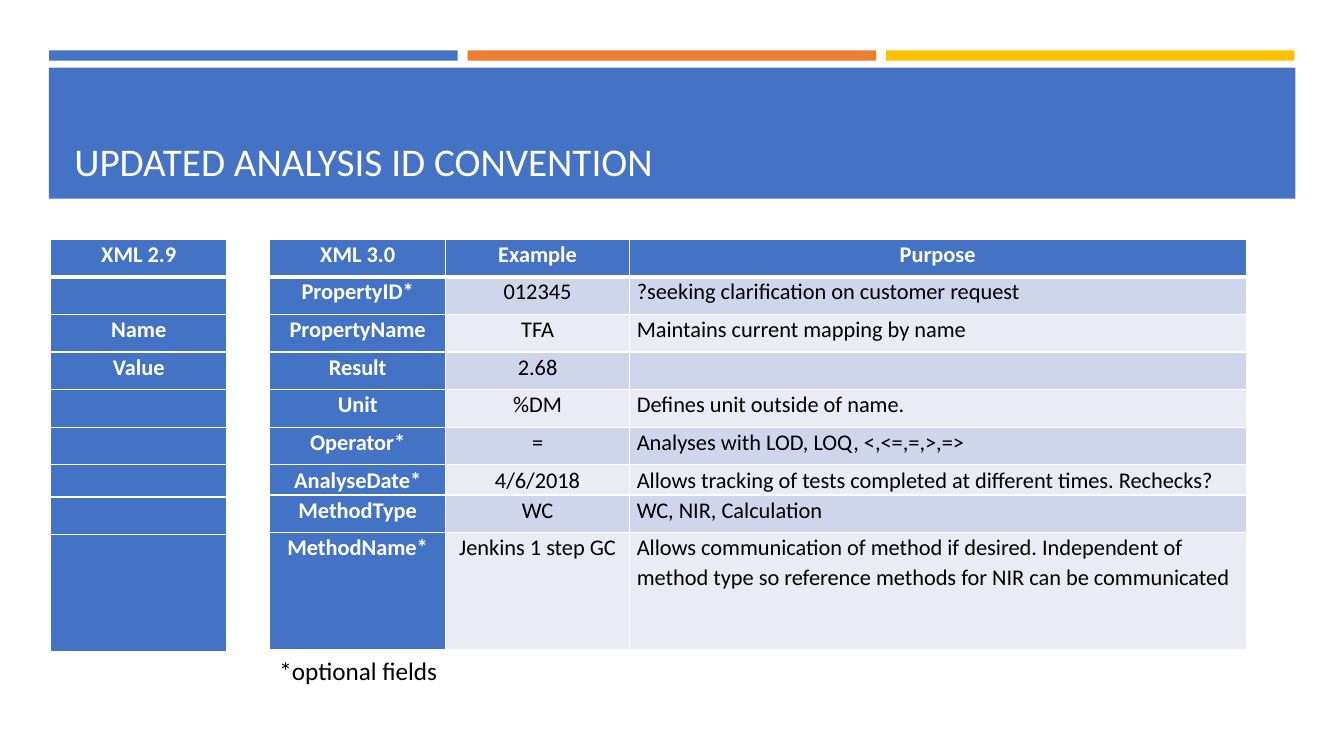
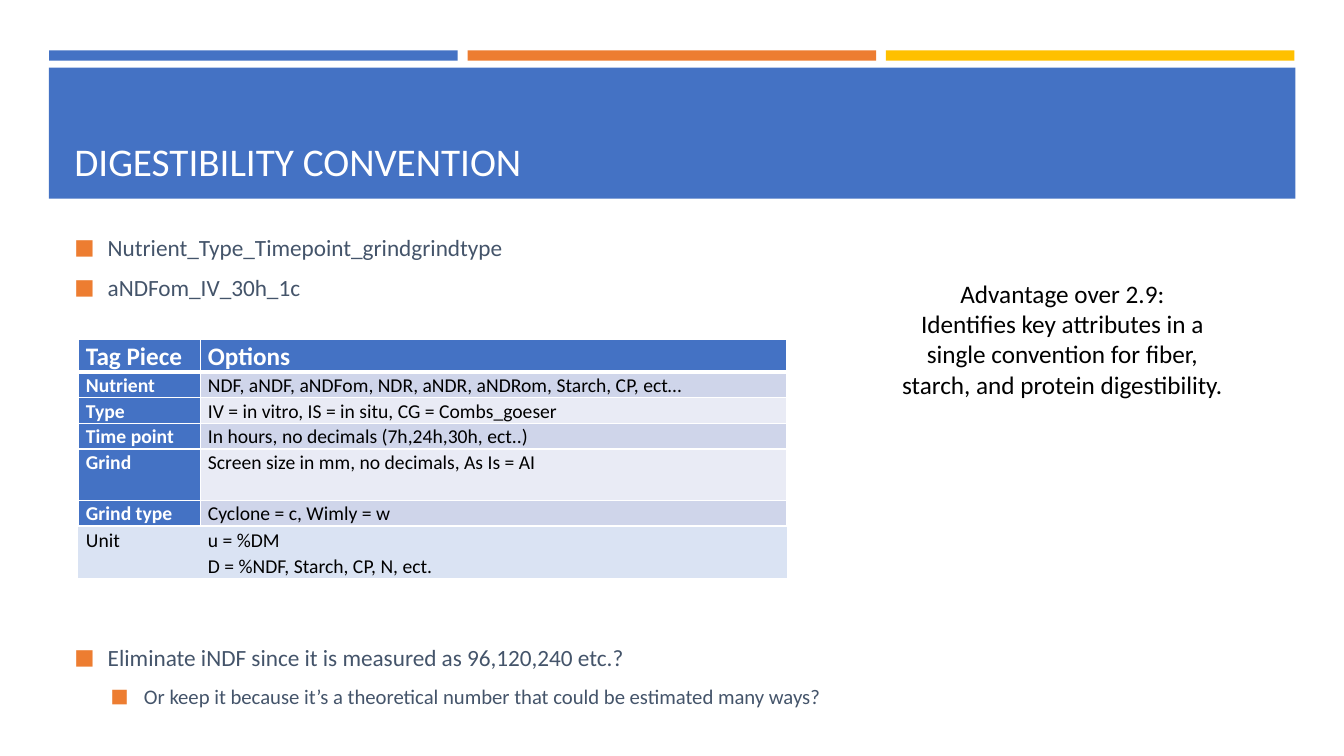
import pptx
import pptx.util
import pptx.dml.color
import pptx.enum.shapes
import pptx.enum.text
import pptx.oxml
import pptx.oxml.ns

Pt = pptx.util.Pt
RGB = pptx.dml.color.RGBColor
ALIGN = pptx.enum.text.PP_ALIGN
ANCHOR = pptx.enum.text.MSO_ANCHOR

# Colours and font
BLUE = RGB(0x44, 0x72, 0xC4)
ORANGE = RGB(0xED, 0x7D, 0x31)
GOLD = RGB(0xFF, 0xC0, 0x00)
SLATE = RGB(0x44, 0x54, 0x6A)
WHITE = RGB(0xFF, 0xFF, 0xFF)
BLACK = RGB(0x00, 0x00, 0x00)
BAND_DARK = RGB(0xCF, 0xD5, 0xEA)
BAND_LIGHT = RGB(0xE9, 0xEB, 0xF5)
PALE_BLUE = RGB(0xDA, 0xE3, 0xF3)
FONT = "Calibri"
PLAIN_TABLE = "{2D5ABB26-0587-4C30-8999-92F81FD0307C}"
NAMESPACE = pptx.oxml.ns.nsdecls("a")


def apply(target, **values):
    for name, value in values.items():
        setattr(target, name, value)


class Deck:
    def __init__(self):
        self.deck = pptx.Presentation()
        apply(self.deck, slide_width=Pt(960), slide_height=Pt(540))
        self.page = None

    def add_page(self, title):
        self.page = self.deck.slides.add_slide(self.deck.slide_layouts[6])
        for index, color in enumerate((BLUE, ORANGE, GOLD)):
            self.band(35.2 + index * 298.8, 36, 291.8, 7.4, color)
        self.band(34.9, 48.4, 890.4, 93.6, BLUE)
        self.text(46.1, 55.4, 868.3, 79.9, [title], 28, WHITE,
                  anchor=ANCHOR.BOTTOM)

    def band(self, left, top, width, height, color):
        bar = self.page.shapes.add_shape(
            pptx.enum.shapes.MSO_SHAPE.RECTANGLE,
            Pt(left), Pt(top), Pt(width), Pt(height))
        bar.shadow.inherit = False
        bar.fill.solid()
        bar.fill.fore_color.rgb = color
        bar.line.fill.background()

    def fill_text(self, frame, lines, size, color, bold=False, **layout):
        """Fill a text frame with one paragraph per line."""
        for index, line in enumerate(lines):
            para = frame.add_paragraph() if index else frame.paragraphs[0]
            apply(para, **layout)
            span = para.add_run()
            span.text = line
            apply(span.font, name=FONT, size=Pt(size), bold=bold)
            span.font.color.rgb = color

    def text(self, left, top, width, height, lines, size, color,
             anchor=ANCHOR.TOP, align=ALIGN.LEFT):
        box = self.page.shapes.add_textbox(
            Pt(left), Pt(top), Pt(width), Pt(height))
        apply(box.text_frame, word_wrap=True, vertical_anchor=anchor)
        self.fill_text(box.text_frame, lines, size, color, alignment=align)
        return box.text_frame

    def bullets(self, top, height, items):
        """Each item is a pair of level and wording."""
        frame = self.text(46.1, top, 868.3, height,
                          [wording for level, wording in items], 16.6, SLATE)
        apply(frame, margin_top=0, margin_bottom=0)
        for para, (level, wording) in zip(frame.paragraphs, items):
            apply(para, level=level, space_after=Pt(9))
            para.runs[0].font.size = Pt((16.6, 14.8)[level])
            properties = para._p.get_or_add_pPr()
            properties.set("marL", str(Pt((23.8, 49.7)[level])))
            properties.set("indent", str(-Pt(23.8)))
            for part in (f'<a:buClr {NAMESPACE}><a:srgbClr val="{ORANGE}"/></a:buClr>',
                         f'<a:buSzPct {NAMESPACE} val="92000"/>',
                         f'<a:buFont {NAMESPACE} typeface="{FONT}"/>',
                         f'<a:buChar {NAMESPACE} char="■"/>'):
                properties.append(pptx.oxml.parse_xml(part))

    def grid(self, left, top, widths, heights):
        frame = self.page.shapes.add_table(
            len(heights), len(widths), Pt(left), Pt(top),
            Pt(sum(widths)), Pt(sum(heights)))
        table = frame.table
        apply(table, first_row=False, horz_banding=False)
        table._tbl.tblPr.find(pptx.oxml.ns.qn("a:tableStyleId")).text = PLAIN_TABLE
        for column, width in zip(table.columns, widths):
            column.width = Pt(width)
        for row, height in zip(table.rows, heights):
            row.height = Pt(height)
        return table

    def cell(self, cell, wording, fill, size, color, bold, align):
        apply(cell, margin_left=Pt(5.4), margin_right=Pt(5.4),
              margin_top=0, margin_bottom=0)
        cell.fill.solid()
        cell.fill.fore_color.rgb = fill
        if wording:
            self.fill_text(cell.text_frame, wording.split("\n"), size, color,
                           bold, alignment=align, line_spacing=1.07)

    def borders(self, cell, top, bottom):
        sides = {"lnL": 1, "lnR": 1, "lnT": top, "lnB": bottom}
        for index, (side, width) in enumerate(sides.items()):
            cell._tc.get_or_add_tcPr().insert(index, pptx.oxml.parse_xml(
                f'<a:{side} {NAMESPACE} w="{Pt(width)}"><a:solidFill>'
                f'<a:srgbClr val="{WHITE}"/></a:solidFill></a:{side}>'))

    def banded_table(self, left, top, widths, heights, rows, sizes, aligns):
        """Blue header row and first column; the rest in two tints."""
        table = self.grid(left, top, widths, heights)
        for r, row in enumerate(rows):
            for c, wording in enumerate(row):
                strong = r == 0 or c == 0
                tint = BAND_DARK if r % 2 else BAND_LIGHT
                cell = table.cell(r, c)
                self.cell(cell, wording, BLUE if strong else tint,
                          sizes[min(r, 1)], WHITE if strong else BLACK,
                          strong, aligns[0] if r == 0 else aligns[c])
                self.borders(cell, 3 if r == 1 else 1, 3 if r == 0 else 1)


show = Deck()

# Slide 1: old and new analysis fields
show.add_page("UPDATED ANALYSIS ID CONVENTION")
old_fields = ["XML 2.9", "", "Name", "Value", "", "", "", "", ""]
new_fields = [
    ("XML 3.0", "Example", "Purpose"),
    ("PropertyID*", "012345", "?seeking clarification on customer request"),
    ("PropertyName", "TFA", "Maintains current mapping by name"),
    ("Result", "2.68", ""),
    ("Unit", "%DM", "Defines unit outside of name."),
    ("Operator*", "=", "Analyses with LOD, LOQ, <,<=,=,>,=>"),
    ("AnalyseDate*", "4/6/2018",
     "Allows tracking of tests completed at different times. Rechecks?"),
    ("MethodType", "WC", "WC, NIR, Calculation"),
    ("MethodName*", "Jenkins 1 step GC",
     "Allows communication of method if desired. Independent of method type "
     "so reference methods for NIR can be communicated"),
]
show.banded_table(36.2, 170.8, [125.8], [26.9] * 6 + [23, 26.9, 83.5],
                  [(field,) for field in old_fields], (16, 16), [ALIGN.CENTER])
show.banded_table(192.5, 170.8, [126, 131, 440.6],
                  [26.9] * 6 + [21.6, 26.9, 83.5], new_fields, (16, 16),
                  [ALIGN.CENTER, ALIGN.CENTER, ALIGN.LEFT])
show.text(192.5, 464.4, 731.5, 29.1, ["*optional fields"], 18, BLACK)

# Slide 2: parts of a digestibility tag
show.add_page("DIGESTIBILITY CONVENTION")
show.bullets(166.4, 60, [(0, "Nutrient_Type_Timepoint_grindgrindtype"),
                         (0, "aNDFom_IV_30h_1c")])
tag_pieces = [
    ("Tag Piece", "Options"),
    ("Nutrient", "NDF, aNDF, aNDFom, NDR, aNDR, aNDRom, Starch, CP, ect…"),
    ("Type", "IV = in vitro, IS = in situ, CG = Combs_goeser"),
    ("Time point", "In hours, no decimals (7h,24h,30h, ect..)"),
    ("Grind", "Screen size in mm, no decimals, As Is = AI"),
    ("Grind type", "Cyclone = c, Wimly = w"),
]
tag_widths = [87.1, 419]
show.banded_table(56, 242.4, tag_widths, [23.5] + [18.3] * 3 + [36.6, 18.3],
                  tag_pieces, (18, 14), [ALIGN.LEFT, ALIGN.LEFT])
unit_table = show.grid(56, 376.6, tag_widths, [36.6])
for position, wording in enumerate(
        ("Unit", "u = %DM\nD = %NDF, Starch, CP, N, ect.")):
    show.cell(unit_table.cell(0, position), wording, PALE_BLUE, 14, BLACK,
              False, ALIGN.LEFT)
show.text(636.5, 195.1, 244.8, 94.3, [
    "Advantage over 2.9:",
    "Identifies key attributes in a single convention for fiber, starch, "
    "and protein digestibility."], 18, BLACK, align=ALIGN.CENTER)
show.bullets(459.2, 56, [
    (0, "Eliminate iNDF since it is measured as 96,120,240 etc.?"),
    (1, "Or keep it because it’s a theoretical number that could be "
        "estimated many ways?")])

show.deck.save("out.pptx")
